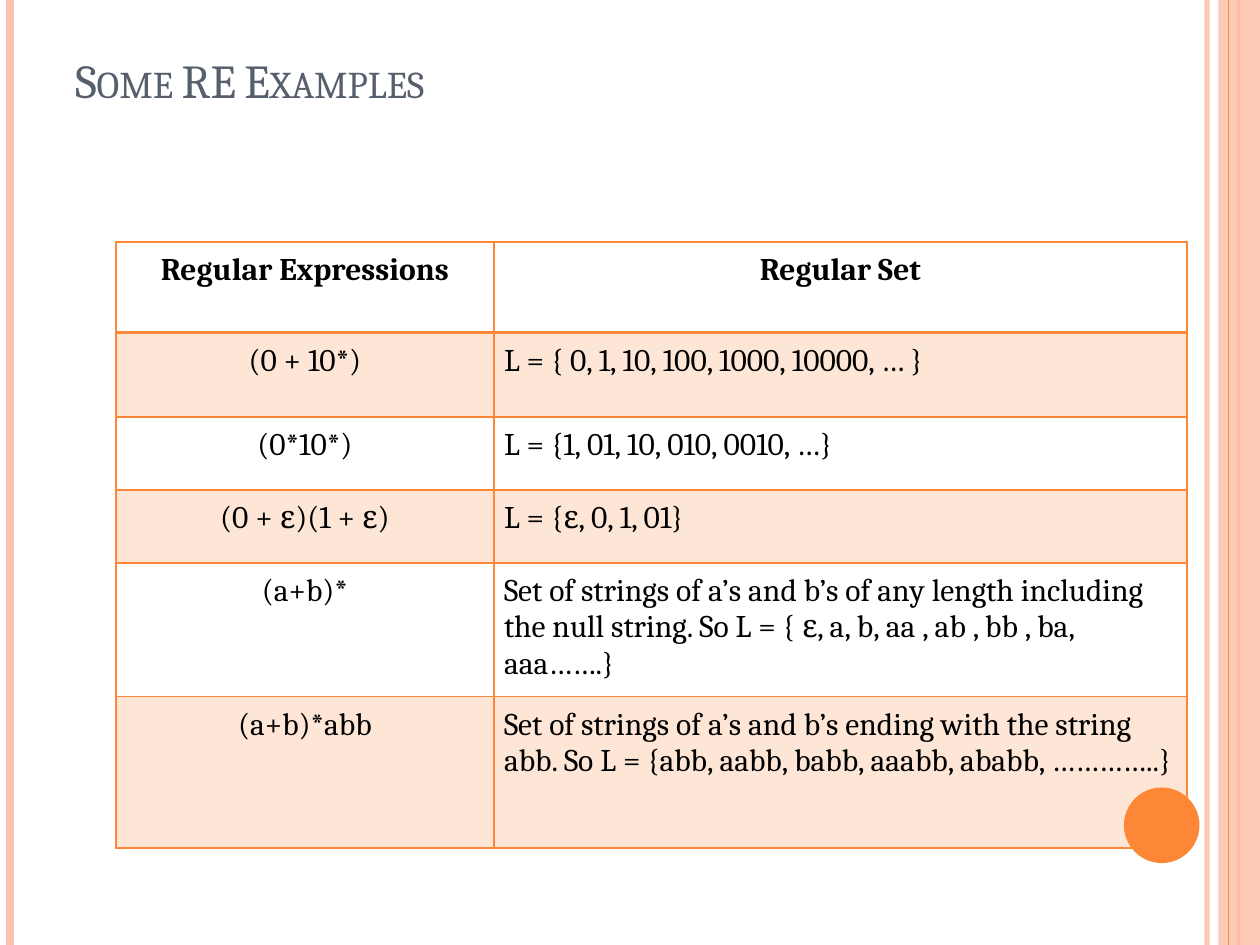
from lxml import etree
from pptx import Presentation
from pptx.dml.color import RGBColor
from pptx.enum.shapes import MSO_CONNECTOR as Conn, MSO_SHAPE as Shape
from pptx.enum.text import MSO_ANCHOR as Anchor, PP_ALIGN as Align
from pptx.oxml.ns import qn
from pptx.util import Inches, Pt

COLORS = {"orange": "FE8637", "peach": "FEC3AE", "title": "575F6D", "text": "000000"}
FONT = "Cambria"
TITLE = "Some RE Examples"
ROWS = [
    ("Regular Expressions", "Regular Set"),
    ("(0 + 10*)", "L = { 0, 1, 10, 100, 1000, 10000, … }"),
    ("(0*10*)", "L = {1, 01, 10, 010, 0010, …}"),
    ("(0 + ε)(1 + ε)", "L = {ε, 0, 1, 01}"),
    ("(a+b)*", "Set of strings of a’s and b’s of any length including the null string. "
               "So L = { ε, a, b, aa , ab , bb , ba, aaa…….}"),
    ("(a+b)*abb", "Set of strings of a’s and b’s ending with the string abb. "
                  "So L = {abb, aabb, babb, aaabb, ababb, …………..}"),
]
COL_WIDTHS = [3, 5.5]
ROW_HEIGHTS = [0.72, 0.67, 0.58, 0.58, 0.83, 1.2]
SLIDE_W, SLIDE_H = 10, 7.5


def rgb(name):
    return RGBColor.from_string(COLORS[name])


def set_alpha(fill_parent, percent):
    """Make the solid fill directly inside an XML element translucent."""
    color = fill_parent.find(qn("a:solidFill"))[0]
    etree.SubElement(color, qn("a:alpha"), val=str(percent * 1000))


def style_run(p, size, color, bold=False):
    font = p.runs[0].font
    font.name, font.size, font.bold = FONT, Pt(size), bold
    font.color.rgb = rgb(color)
    return font


def add_stripe(slide, x, width, color, alpha=None):
    line = slide.shapes.add_connector(Conn.STRAIGHT, Inches(x), 0, Inches(x), Inches(SLIDE_H))
    line.line.color.rgb, line.line.width = rgb(color), Pt(width)
    etree.SubElement(line._element.spPr, qn("a:effectLst"))
    if alpha:
        set_alpha(line._element.spPr.find(qn("a:ln")), alpha)


def add_solid(slide, kind, box, color, alpha=None):
    s = slide.shapes.add_shape(kind, *map(Inches, box))
    s.shadow.inherit = False
    s.fill.solid()
    s.fill.fore_color.rgb = rgb(color)
    s.line.fill.background()
    if alpha:
        set_alpha(s._element.spPr, alpha)


def add_decoration(slide):
    add_stripe(slide, 9.58, 3, "peach", 93)
    add_stripe(slide, 0.08, 4.5, "peach")
    add_stripe(slide, 9.83, 1.5, "orange")
    add_solid(slide, Shape.RECTANGLE, (9.67, 0, SLIDE_W - 9.67, SLIDE_H), "peach", 87)
    add_stripe(slide, 9.75, 0.75, "orange")
    add_solid(slide, Shape.OVAL, (8.92, 6.25, 0.6, 0.6), "orange")


def add_title(slide):
    tf = slide.shapes.add_textbox(*map(Inches, (0.5, 0.3, 8.17, 1.25))).text_frame
    tf.word_wrap, tf.vertical_anchor = True, Anchor.BOTTOM
    tf.margin_top, tf.margin_bottom = 0, Inches(0.93)
    tf.text = TITLE
    font = style_run(tf.paragraphs[0], 27, "title")
    font._element.set("cap", "small")


def set_borders(cell, widths):
    """Draw the cell's borders; they must precede its fill in the XML."""
    props = cell._tc.get_or_add_tcPr()
    for i, (side, width) in enumerate(widths.items()):
        ln = etree.Element(qn(f"a:ln{side}"), w=str(Pt(width)))
        fill = etree.SubElement(ln, qn("a:solidFill"))
        etree.SubElement(fill, qn("a:srgbClr"), val=COLORS["orange"])
        props.insert(i, ln)


def add_examples(slide):
    frame = slide.shapes.add_table(len(ROWS), len(COL_WIDTHS), Inches(0.92), Inches(1.92),
                                   Inches(sum(COL_WIDTHS)), Inches(sum(ROW_HEIGHTS)))
    table = frame.table
    for column, width in zip(table.columns, COL_WIDTHS):
        column.width = Inches(width)
    for r, (row, height) in enumerate(zip(ROWS, ROW_HEIGHTS)):
        table.rows[r].height = Inches(height)
        for c, text in enumerate(row):
            cell = table.cell(r, c)
            cell.margin_left = cell.margin_right = Inches(0.08)
            cell.margin_top = cell.margin_bottom = Inches(0.08)
            cell.text = text
            p = cell.text_frame.paragraphs[0]
            p.alignment = Align.CENTER if r == 0 or c == 0 else Align.LEFT
            style_run(p, 18, "text", bold=r == 0)
            if r % 2:
                cell.fill.solid()
                cell.fill.fore_color.rgb = rgb("orange")
                set_alpha(cell._tc.tcPr, 20)
            else:
                cell.fill.background()
            set_borders(cell, {"L": 1, "R": 1, "T": 2 if r == 1 else 1, "B": 2 if r == 0 else 1})


def main():
    prs = Presentation()
    prs.slide_width, prs.slide_height = Inches(SLIDE_W), Inches(SLIDE_H)
    slide = prs.slides.add_slide(prs.slide_layouts[6])
    add_decoration(slide)
    add_title(slide)
    add_examples(slide)
    prs.save("out.pptx")


if __name__ == "__main__":
    main()
